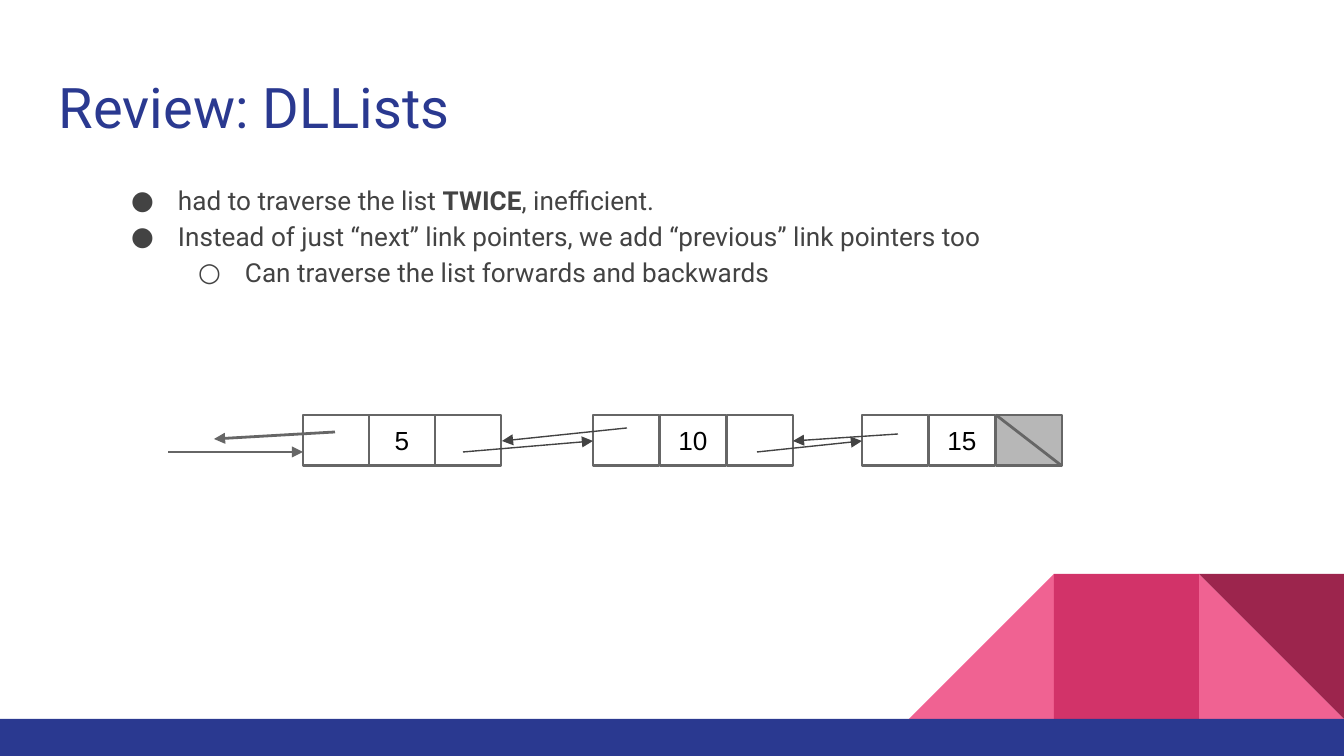
from dataclasses import dataclass

from lxml import etree
from pptx import Presentation
from pptx.dml.color import RGBColor
from pptx.enum.shapes import MSO_CONNECTOR, MSO_SHAPE
from pptx.enum.text import MSO_ANCHOR, MSO_AUTO_SIZE, PP_ALIGN
from pptx.oxml.ns import qn
from pptx.util import Emu, Pt

RECT = MSO_SHAPE.RECTANGLE
TRIANGLE = MSO_SHAPE.RIGHT_TRIANGLE
STRAIGHT = MSO_CONNECTOR.STRAIGHT
TOP, MIDDLE = MSO_ANCHOR.TOP, MSO_ANCHOR.MIDDLE
LEFT, CENTER = PP_ALIGN.LEFT, PP_ALIGN.CENTER
NO_FIT = MSO_AUTO_SIZE.NONE

EMU_PER_PX = 914400 / 134.4
COLORS = {
    "navy": "2A3990", "pink": "F06292", "rose": "D23369", "wine": "9C254D",
    "ink": "434343", "frame": "666666", "null": "B7B7B7", "value": "000000",
}
INSET = 13
INDENT = 67
HANGING = 47
TILE = 145
TILE_TOP = 574
BAND_TOP = 719
CELL_TOP = 415
CELL_HEIGHT = 51


@dataclass(frozen=True)
class Tile:
    preset: MSO_SHAPE
    left: int
    color: str
    flipped: bool = False
    rotation: int = 0


@dataclass(frozen=True)
class Bullet:
    level: int
    symbol: str
    runs: tuple[tuple[str, bool], ...]


@dataclass(frozen=True)
class Node:
    left: int
    cell_width: int
    value: str
    last: bool = False


@dataclass(frozen=True)
class Link:
    start: tuple[int, int]
    end: tuple[int, int]
    color: str = "ink"
    weight: float = 0.75
    arrow: bool = True


TILES = (
    Tile(TRIANGLE, 1199, "pink"),
    Tile(TRIANGLE, 909, "pink", flipped=True),
    Tile(RECT, 1054, "rose"),
    Tile(TRIANGLE, 1199, "wine", rotation=180),
)
BULLETS = (
    Bullet(0, "●", (("had to traverse the list ", False), ("TWICE", True),
                    (", inefficient.", False))),
    Bullet(0, "●", (("Instead of just “next” link pointers, we add “previous” "
                     "link pointers too", False),)),
    Bullet(1, "○", (("Can traverse the list forwards and backwards", False),)),
)
NODES = (
    Node(303, 66, "5"),
    Node(593, 67, "10"),
    Node(862, 67, "15", last=True),
)
LINKS = (
    Link((168, 452), (303, 452), "frame", 1.5),
    Link((463, 452), (593, 441)),
    Link((757, 452), (862, 441)),
    Link((627, 428), (502, 441)),
    Link((898, 434), (793, 441)),
    Link((335, 432), (214, 439), "frame", 1.5),
    Link((996, 415), (1062, 466), "frame", 1.5, arrow=False),
)


def px(length: int) -> Emu:
    return Emu(round(length * EMU_PER_PX))


def rgb(name: str) -> RGBColor:
    return RGBColor.from_string(COLORS[name])


def place(item, left: int, top: int, width: int, height: int) -> None:
    item.left, item.top = px(left), px(top)
    item.width, item.height = px(width), px(height)


def prepare_frame(frame, anchor) -> None:
    frame.word_wrap = True
    frame.auto_size = NO_FIT
    frame.vertical_anchor = anchor
    frame.margin_left = frame.margin_right = px(INSET)
    frame.margin_top = frame.margin_bottom = px(INSET)


def add_run(paragraph, text: str, font: str, size: int, color: str,
            bold: bool = False) -> None:
    run = paragraph.add_run()
    run.text = text
    run.font.name = font
    run.font.size = Pt(size)
    run.font.bold = bold
    run.font.color.rgb = rgb(color)


def add_block(slide, preset, left: int, top: int, width: int, height: int,
              fill: str | None = None, outline: str | None = None):
    block = slide.shapes.add_shape(preset, px(left), px(top), px(width), px(height))
    block.shadow.inherit = False
    if fill:
        block.fill.solid()
        block.fill.fore_color.rgb = rgb(fill)
    else:
        block.fill.background()
    if outline:
        block.line.color.rgb = rgb(outline)
        block.line.width = Pt(1.5)
    else:
        block.line.fill.background()
    return block


def draw_tile(slide, tile: Tile) -> None:
    block = add_block(slide, tile.preset, tile.left, TILE_TOP, TILE, TILE, tile.color)
    block.rotation = tile.rotation
    if tile.flipped:
        block._element.spPr.find(qn("a:xfrm")).set("flipH", "1")


def write_title(title, text: str) -> None:
    place(title, 46, 60, 1253, 89)
    prepare_frame(title.text_frame, TOP)
    heading = title.text_frame.paragraphs[0]
    heading.alignment = LEFT
    add_run(heading, text, "Roboto", 30, "navy")


def write_bullet(paragraph, bullet: Bullet) -> None:
    paragraph.level = bullet.level
    properties = paragraph._p.get_or_add_pPr()
    properties.set("marL", str(px(INDENT * (bullet.level + 1))))
    properties.set("indent", str(-px(HANGING)))
    tint = etree.SubElement(properties, qn("a:buClr"))
    etree.SubElement(tint, qn("a:srgbClr"), val=COLORS["ink"])
    etree.SubElement(properties, qn("a:buFont"), typeface="Roboto")
    etree.SubElement(properties, qn("a:buChar"), char=bullet.symbol)
    paragraph.alignment = LEFT
    paragraph.line_spacing = 1.15
    paragraph.space_before = paragraph.space_after = Pt(0)
    for text, bold in bullet.runs:
        add_run(paragraph, text, "Roboto", 14, "ink", bold)


def write_body(body) -> None:
    place(body, 98, 167, 1081, 224)
    frame = body.text_frame
    prepare_frame(frame, TOP)
    for index, bullet in enumerate(BULLETS):
        write_bullet(frame.add_paragraph() if index else frame.paragraphs[0], bullet)


def draw_node(slide, node: Node) -> None:
    fills = (None, None, "null" if node.last else None)
    _, middle, _ = [
        add_block(slide, RECT, node.left + index * node.cell_width, CELL_TOP,
                  66, CELL_HEIGHT, fill, "frame")
        for index, fill in enumerate(fills)
    ]
    prepare_frame(middle.text_frame, MIDDLE)
    label = middle.text_frame.paragraphs[0]
    label.alignment = CENTER
    add_run(label, node.value, "Arial", 14, "value")


def draw_link(slide, link: Link) -> None:
    connector = slide.shapes.add_connector(
        STRAIGHT, *(px(value) for value in link.start + link.end))
    connector.line.color.rgb = rgb(link.color)
    connector.line.width = Pt(link.weight)
    properties = connector._element.spPr
    if link.arrow:
        etree.SubElement(properties.find(qn("a:ln")), qn("a:tailEnd"), type="triangle")
    etree.SubElement(properties, qn("a:effectLst"))


def main() -> None:
    deck = Presentation()
    deck.slide_width, deck.slide_height = px(1344), px(756)
    slide = deck.slides.add_slide(deck.slide_layouts[1])
    for tile in TILES:
        draw_tile(slide, tile)
    add_block(slide, RECT, 0, BAND_TOP, 1344, 37, "navy")
    write_title(slide.shapes.title, "Review: DLLists")
    write_body(slide.placeholders[1])
    for node in NODES:
        draw_node(slide, node)
    for link in LINKS:
        draw_link(slide, link)
    deck.save("out.pptx")


if __name__ == "__main__":
    main()
